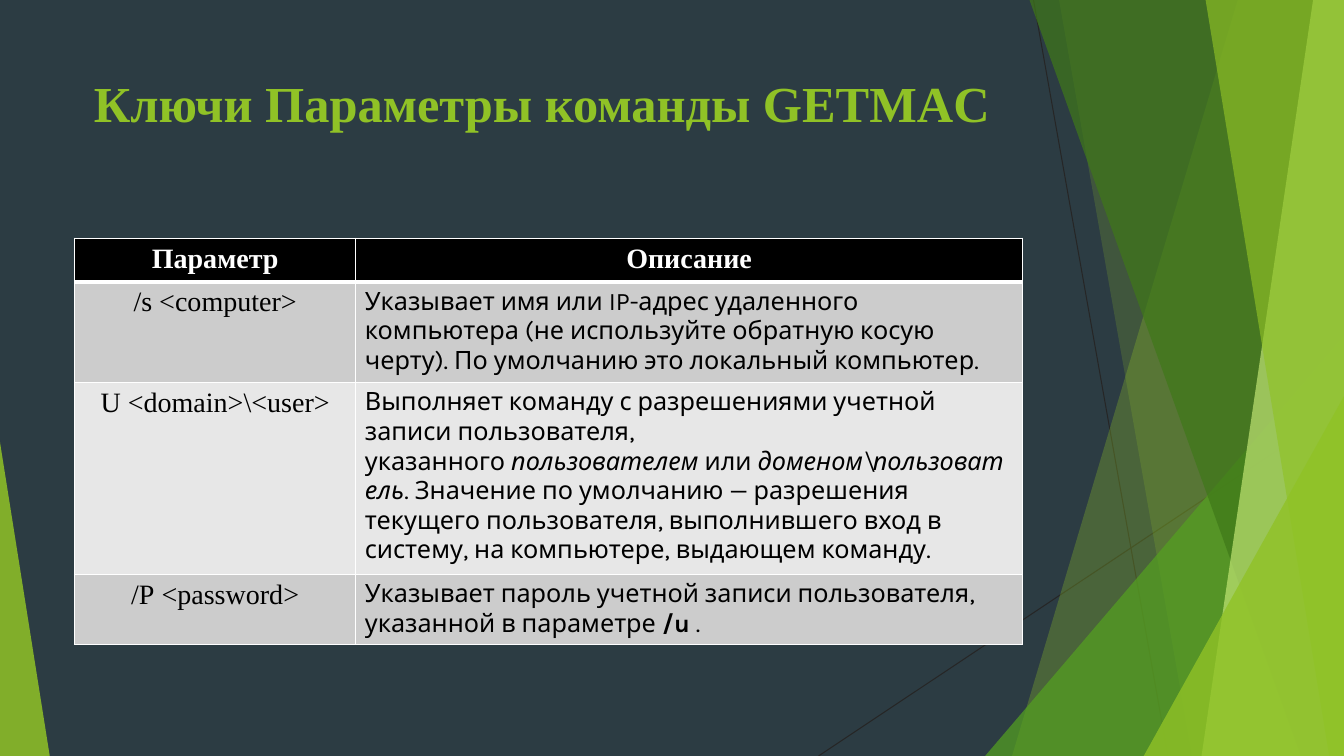
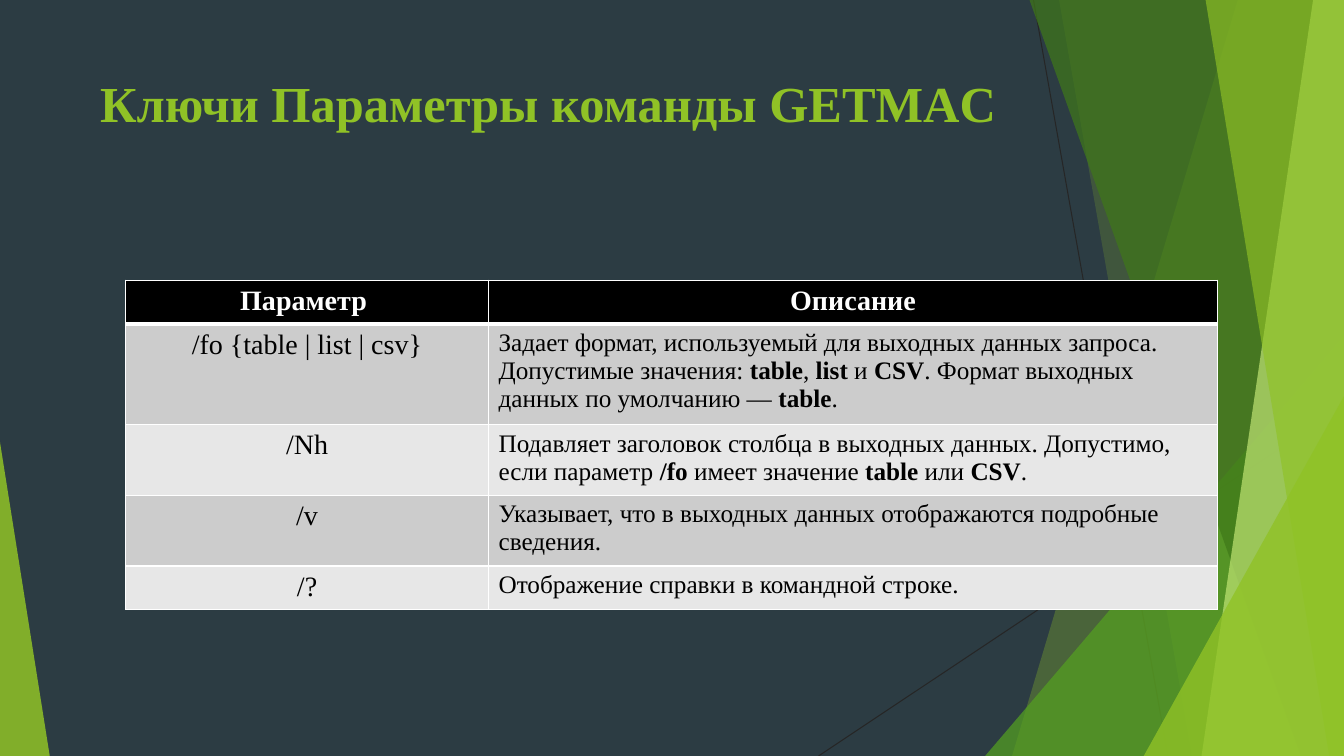
from lxml.etree import SubElement
from pptx import Presentation
from pptx.dml.color import RGBColor
from pptx.enum.shapes import MSO_CONNECTOR, MSO_SHAPE
from pptx.enum.text import MSO_ANCHOR, PP_ALIGN
from pptx.oxml.ns import qn
from pptx.util import Inches, Pt

W, H = Inches(13.33), Inches(7.5)
SERIF, SANS = "Times New Roman", "Karla"
NBSP = chr(160)
COLORS = {
    "back": "2C3C43", "line": "262626", "lime": "90C226", "green": "54A021",
    "dark": "3F7819", "pale": "C0E474", "white": "FFFFFF", "black": "000000",
    "odd": "CCCCCC", "even": "E7E7E7",
}
# Lengths are percent of the slide's width or height.
RAYS = [((76.9, 0), (86.9, 100)), ((100, 53.7), (60.9, 100))]
BANDS_BACK = [(92.1, 75.3, "lime", 30), (78.8, 88.7, "lime", 20)]
BANDS_FRONT = [(76.6, 96.8, "dark", 70), (97.7, 89.4, "pale", 70),
               (89.7, 98.9, "lime", 65)]
MARGIN, TITLE_WIDTH = 5.55, 70.5
ROW = 5.4  # least row height; rows grow with their text


def x(percent):
    return int(W * percent / 100)


def y(percent):
    return int(H * percent / 100)


def color(name):
    return RGBColor.from_string(COLORS[name])


def bold(text):
    return text, {"bold": True}


def italic(text):
    return text, {"italic": True}


def add_text(p, text, size=18, font=SERIF, fill="black", bold=False,
             italic=False, align=PP_ALIGN.LEFT):
    """Append one formatted run to the paragraph."""
    p.alignment = align
    r = p.add_run()
    r.text = text
    r.font.name, r.font.size = font, Pt(size)
    r.font.bold, r.font.italic = bold, italic
    r.font.color.rgb = color(fill)


def tint(sp, name, opacity):
    """Give a shape a plain see-through fill and no outline."""
    sp.shadow.inherit = False
    sp.fill.solid()
    sp.fill.fore_color.rgb = color(name)
    rgb = next(sp._element.spPr.iter(qn("a:srgbClr")))
    SubElement(rgb, qn("a:alpha"), val=str(opacity * 1000))
    sp.line.fill.background()


def add_ray(s, start, end):
    ray = s.shapes.add_connector(MSO_CONNECTOR.STRAIGHT, x(start[0]), y(start[1]),
                                 x(end[0]), y(end[1]))
    ray.line.color.rgb = color("line")
    ray.line.width = Pt(0.75)
    SubElement(ray._element.spPr, qn("a:effectLst"))


def add_band(s, top, bottom, name, opacity):
    """Fill the area from a slanted edge to the slide's right side."""
    outline = s.shapes.build_freeform(x(top), 0, scale=1.0)
    outline.add_line_segments([(W, 0), (W, H), (x(bottom), H)], close=True)
    tint(outline.convert_to_shape(), name, opacity)


def add_corner(s, left, right, top, peak, name, opacity):
    """Draw a right triangle that stands on the slide's bottom edge."""
    sp = s.shapes.add_shape(MSO_SHAPE.ISOSCELES_TRIANGLE, x(left), y(top),
                            x(right) - x(left), H - y(top))
    sp.adjustments[0] = peak
    tint(sp, name, opacity)


def add_decor(s):
    for ray in RAYS:
        add_ray(s, *ray)
    for band in BANDS_BACK:
        add_band(s, *band)
    add_corner(s, 73.3, 100, 44.4, 1, "green", 72)
    for band in BANDS_FRONT:
        add_band(s, *band)
    add_corner(s, 85.1, 100, 52.4, 1, "lime", 80)
    add_corner(s, 0, 3.7, 58.5, 0, "lime", 85)


def add_title(s, text):
    tf = s.shapes.add_textbox(x(MARGIN), y(8.93), x(TITLE_WIDTH), y(19.2)).text_frame
    tf.word_wrap = True
    tf.vertical_anchor = MSO_ANCHOR.TOP
    add_text(tf.paragraphs[0], text, size=36, fill="lime", bold=True,
             align=PP_ALIGN.CENTER)


def add_borders(cell, **widths):
    """Draw white cell borders; widths are points by side L, R, T, B."""
    for side, width in widths.items():
        ln = SubElement(cell._tc.get_or_add_tcPr(), qn(f"a:ln{side}"),
                        w=str(Pt(width)))
        SubElement(SubElement(ln, qn("a:solidFill")), qn("a:srgbClr"),
                   val=COLORS["white"])


def add_params(s, left, top, cols, rows, font=SERIF, inset=0.1):
    """Add a table of parameters; a description is a list of texts and runs."""
    table = s.shapes.add_table(len(rows), len(cols), x(left), y(top),
                               x(sum(cols)), y(ROW * len(rows))).table
    table.horz_banding = False
    for column, width in zip(table.columns, cols):
        column.width = x(width)
    for i, row in enumerate(rows):
        fill = "black" if i == 0 else "odd" if i % 2 else "even"
        for j, content in enumerate(row):
            cell = table.cell(i, j)
            add_borders(cell, L=1, R=1, T=3 if i == 1 else 1, B=3 if i == 0 else 1)
            cell.fill.solid()
            cell.fill.fore_color.rgb = color(fill)
            cell.margin_left = cell.margin_right = Inches(inset)
            p = cell.text_frame.paragraphs[0]
            if i == 0:
                add_text(p, content, size=20, fill="white", bold=True,
                         align=PP_ALIGN.CENTER)
            elif j == 0:
                add_text(p, content, size=20, align=PP_ALIGN.CENTER)
            else:
                for part in content:
                    text, style = (part, {}) if isinstance(part, str) else part
                    add_text(p, text, font=font, **style)


def add_slide(prs, title, **table):
    s = prs.slides.add_slide(prs.slide_layouts[6])
    s.background.fill.solid()
    s.background.fill.fore_color.rgb = color("back")
    add_decor(s)
    add_title(s, title)
    add_params(s, **table)


def main():
    prs = Presentation()
    prs.slide_width, prs.slide_height = W, H
    add_slide(
        prs, "Ключи Параметры команды GETMAC ",
        left=MARGIN, top=31.5, cols=[20.93, 49.6], font=SANS, inset=0.09,
        rows=[
            ("Параметр", "Описание"),
            (f"/s{NBSP}<computer>", [
                "Указывает имя или IP-адрес удаленного компьютера (не используйте "
                "обратную косую черту). По умолчанию это локальный компьютер."]),
            (rf"U{NBSP}<domain>\<user>", [
                "Выполняет команду с разрешениями учетной записи пользователя, "
                f"указанного{NBSP}", italic("пользователем"), f"{NBSP}или{NBSP}",
                italic(r"доменом\пользователь"),
                ". Значение по умолчанию — разрешения текущего пользователя, "
                "выполнившего вход в систему, на компьютере, выдающем команду."]),
            (f"/P{NBSP}<password>", [
                "Указывает пароль учетной записи пользователя, указанной в "
                f"параметре{NBSP}", bold("/u"), f"{NBSP}."]),
        ])
    add_slide(
        prs, "Ключи Параметры команды GETMAC",
        left=9.35, top=37.07, cols=[27, 54.25],
        rows=[
            ("Параметр ", "Описание"),
            ("/fo {table | list | csv}", [
                "Задает формат, используемый для выходных данных запроса. "
                f"Допустимые значения:{NBSP}", bold("table"), f",{NBSP}",
                bold("list"), f"{NBSP}и{NBSP}", bold("CSV"),
                f". Формат выходных данных по умолчанию —{NBSP}",
                bold("table"), "."]),
            ("/Nh", [
                "Подавляет заголовок столбца в выходных данных. Допустимо, если "
                f"параметр{NBSP}", bold("/fo"), f"{NBSP}имеет значение{NBSP}",
                bold("table"), f"{NBSP}или{NBSP}", bold("CSV"), "."]),
            ("/v", ["Указывает, что в выходных данных отображаются подробные "
                    "сведения."]),
            ("/?", ["Отображение справки в командной строке."]),
        ])
    prs.save("out.pptx")


if __name__ == "__main__":
    main()
